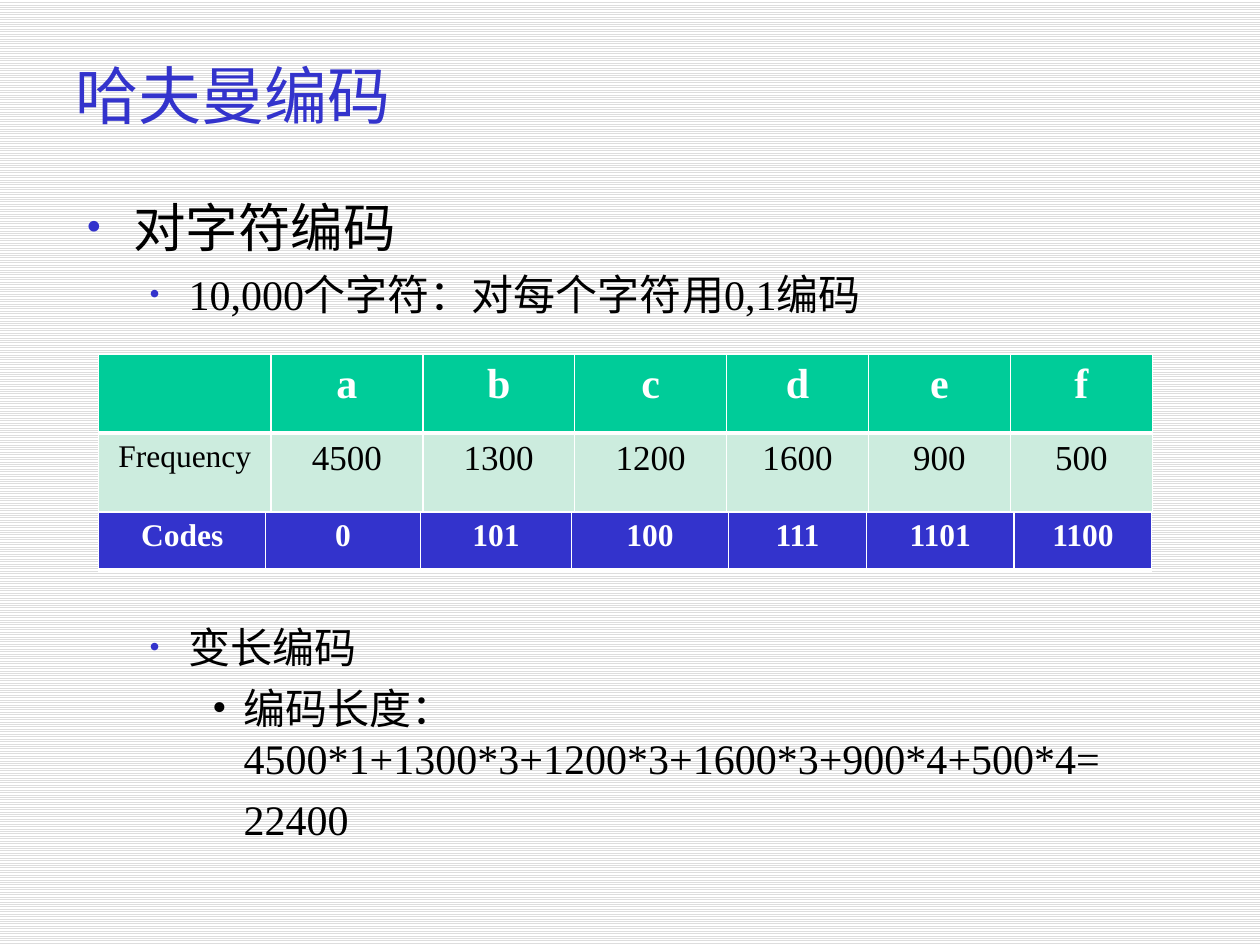
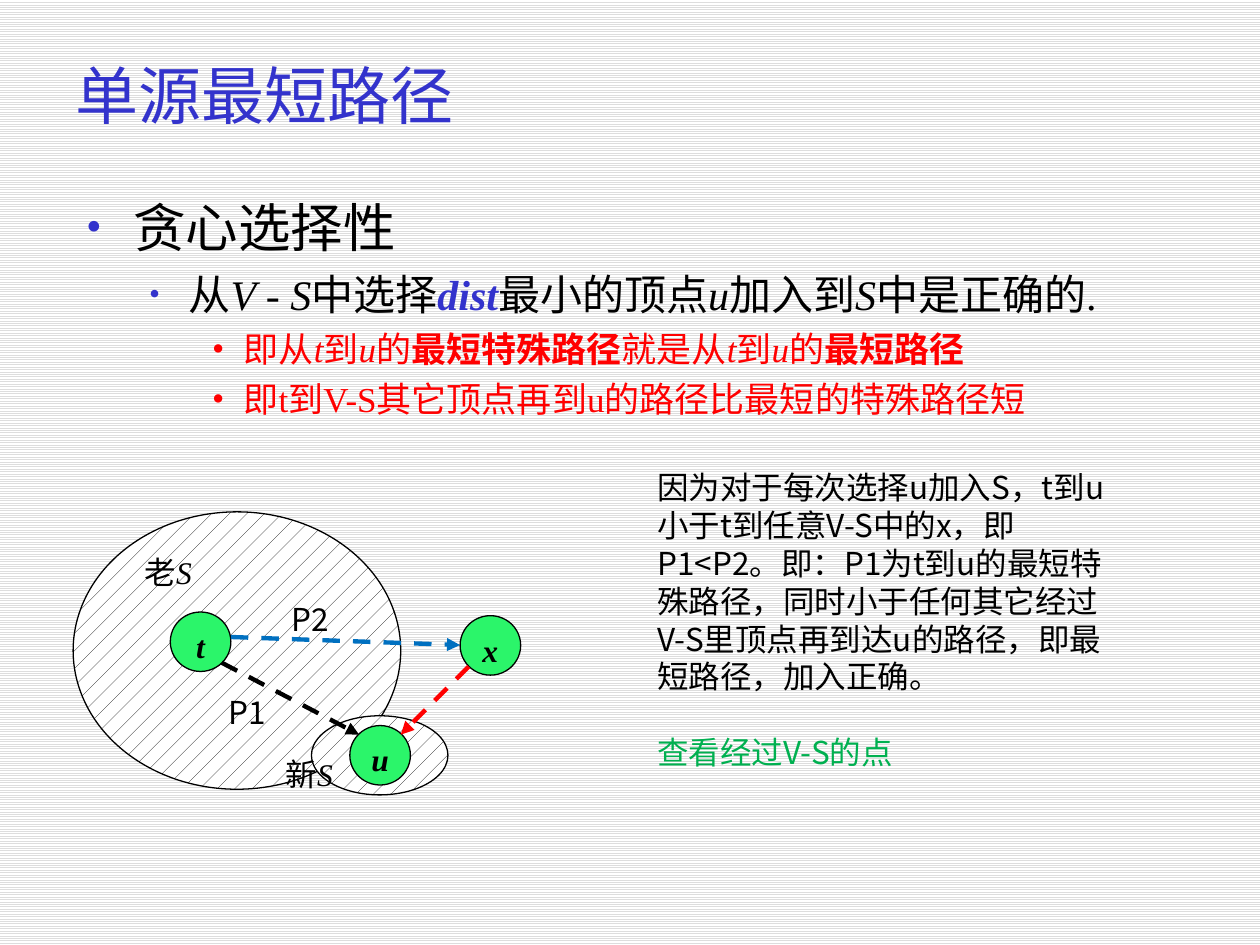
"""Build two algorithm slides: Huffman coding and single-source shortest paths."""
import pptx
import pptx.dml.color
import pptx.enum.dml
import pptx.enum.shapes
import pptx.enum.text
import pptx.oxml.ns
import pptx.util
from lxml import etree

Pt = pptx.util.Pt
SERIF = "Times New Roman"
SANS = "Noto Sans CJK SC"
COLORS = {
    "title": "3333CC", "text": "000000", "white": "FFFFFF", "stripe": "DDDDDD",
    "header": "00CC99", "frequency": "CCECDE", "codes": "3333CC",
    "vertex": "2BF56A", "red": "FF0000", "blue": "0070C0", "green": "00B050",
}
RGB = {name: pptx.dml.color.RGBColor.from_string(value) for name, value in COLORS.items()}
LEFT = pptx.enum.text.PP_ALIGN.LEFT
CENTER = pptx.enum.text.PP_ALIGN.CENTER
TOP = pptx.enum.text.MSO_ANCHOR.TOP
MIDDLE = pptx.enum.text.MSO_ANCHOR.MIDDLE
PATTERN = pptx.enum.dml.MSO_PATTERN
OVAL = pptx.enum.shapes.MSO_SHAPE.OVAL
STRAIGHT = pptx.enum.shapes.MSO_CONNECTOR.STRAIGHT


def add_element(parent, tag, **attributes):
    """Append a DrawingML element with the given attributes."""
    return etree.SubElement(parent, pptx.oxml.ns.qn(tag), attributes)


def write_paragraph(text_frame, runs, size, color="text", name=SERIF, **paragraph_format):
    """Write (text, font overrides) runs as the next paragraph of a frame."""
    paragraph = text_frame.paragraphs[0]
    if paragraph.runs:
        paragraph = text_frame.add_paragraph()
    for attribute, value in paragraph_format.items():
        setattr(paragraph, attribute, value)
    for text, overrides in runs:
        run = paragraph.add_run()
        run.text = text
        font_format = {"size": Pt(size), "name": name, "color": color, **overrides}
        run.font.color.rgb = RGB[font_format.pop("color")]
        for attribute, value in font_format.items():
            setattr(run.font, attribute, value)
        add_element(run.font._element, "a:ea", typeface=SANS)
    return paragraph


presentation = pptx.Presentation()
presentation.slide_width, presentation.slide_height = Pt(720), Pt(540)
background = presentation.slide_master.background.fill
background.patterned()
background.pattern = PATTERN.LIGHT_HORIZONTAL
background.fore_color.rgb = RGB["stripe"]
background.back_color.rgb = RGB["white"]

LEVELS = [
    {"left": 27, "hanging": 27, "bullet_color": "title", "bullet_size": 85},
    {"left": 58.5, "hanging": 22.5, "bullet_color": "title", "bullet_size": 75},
    {"left": 90, "hanging": 18, "bullet_color": None, "bullet_size": 100},
]
ITALIC = {"italic": True}
BOLD = {"bold": True}

# Each item: level, size, colour, space before, bulleted, runs
HUFFMAN = [
    (0, 30, "text", 7, True, [("对字符编码", {})]),
    (1, 24, "text", 5.8, True, [("10,000个字符：对每个字符用0,1编码", {})]),
    (1, 24, "text", 173, True, [("变长编码", {})]),
    (2, 24, "text", 5.8, True, [("编码长度： 4500*1+1300*3+1200*3+1600*3+900*4+500*4=", {})]),
    (2, 24, "text", 5.8, False, [("22400", {})]),
]
SHORTEST_PATH = [
    (0, 30, "text", 7, True, [("贪心选择性", {})]),
    (1, 24, "text", 5.8, True, [
        ("从", {}), ("V ", ITALIC), ("- ", {}), ("S", ITALIC), ("中选择", {}),
        ("dist", {"bold": True, "italic": True, "color": "title"}),
        ("最小的顶点", {}), ("u", ITALIC), ("加入到", {}), ("S", ITALIC), ("中是正确的.", {})]),
    (2, 20, "red", 4.8, True, [
        ("即从", {}), ("t", ITALIC), ("到", {}), ("u", ITALIC), ("的", {}),
        ("最短特殊路径", BOLD), ("就是从", {}), ("t", ITALIC), ("到", {}),
        ("u", ITALIC), ("的", {}), ("最短路径", BOLD)]),
    (2, 20, "red", 4.8, True, [("即t到V-S其它顶点再到u的路径比最短的特殊路径短", {})]),
]

slides = []
for title, items, body_width, body_height in [
    ("哈夫曼编码", HUFFMAN, 612, 384),
    ("单源最短路径", SHORTEST_PATH, 658, 162),
]:
    slide = presentation.slides.add_slide(presentation.slide_layouts[1])
    slides.append(slide)
    body = slide.placeholders[1]
    for shape, box, anchor in [
        (slide.shapes.title, (36, 18, 612, 72), MIDDLE),
        (body, (42, 108, body_width, body_height), TOP),
    ]:
        shape.left, shape.top, shape.width, shape.height = map(Pt, box)
        shape.text_frame.vertical_anchor = anchor
        shape.text_frame.auto_size = pptx.enum.text.MSO_AUTO_SIZE.NONE
    write_paragraph(slide.shapes.title.text_frame, [(title, {})], 36, "title", alignment=LEFT)

    for level, size, color, space, bulleted, runs in items:
        paragraph = write_paragraph(body.text_frame, runs, size, color,
                                    level=level, space_before=Pt(space))
        layout = LEVELS[level]
        properties = paragraph._p.get_or_add_pPr()
        properties.set("marL", str(Pt(layout["left"])))
        properties.set("indent", str(-Pt(layout["hanging"]) if bulleted else 0))
        if not bulleted:
            add_element(properties, "a:buNone")
            continue
        if layout["bullet_color"]:
            bullet_color = add_element(properties, "a:buClr")
            add_element(bullet_color, "a:srgbClr", val=COLORS[layout["bullet_color"]])
        add_element(properties, "a:buSzPct", val=str(layout["bullet_size"] * 1000))
        add_element(properties, "a:buFont", typeface=SERIF)
        add_element(properties, "a:buChar", char="•")

huffman_slide, path_slide = slides

# Each row: fill, text colour, bold, label size, value size, bottom border, texts
HEADER_ROW = ("header", "white", True, 24, 24, 3, ["", *"abcdef"])
FREQUENCY_ROW = ("frequency", "text", False, 18, 20, 1,
                 ["Frequency", "4500", "1300", "1200", "1600", "900", "500"])
CODES_ROW = ("codes", "white", True, 18, 18, 3,
             ["Codes", "0", "101", "100", "111", "1101", "1100"])
for top, row_height, column_widths, rows in [
    (202.5, 45, [98.4] + [86.8] * 3 + [81.1] * 3, [HEADER_ROW, FREQUENCY_ROW]),
    (292.5, 33.5, [95.4, 88.4, 86.4, 89.8, 78.8, 84.4, 78.6], [CODES_ROW]),
]:
    table = huffman_slide.shapes.add_table(
        len(rows), len(column_widths), Pt(56.4), Pt(top),
        Pt(sum(column_widths)), Pt(row_height * len(rows))).table
    table.first_row = table.horz_banding = False
    for column, width in zip(table.columns, column_widths):
        column.width = Pt(width)
    for row_index, (fill, color, bold, label_size, value_size, bottom, texts) in enumerate(rows):
        table.rows[row_index].height = Pt(row_height)
        for column_index, text in enumerate(texts):
            cell = table.cell(row_index, column_index)
            if text:
                write_paragraph(cell.text_frame, [(text, {"bold": bold})],
                                value_size if column_index else label_size,
                                color, alignment=CENTER)
            cell_properties = cell._tc.get_or_add_tcPr()
            for side, width in [("L", 1), ("R", 1), ("T", 1), ("B", bottom)]:
                border = add_element(cell_properties, f"a:ln{side}", w=str(Pt(width)))
                border_fill = add_element(border, "a:solidFill")
                add_element(border_fill, "a:srgbClr", val=COLORS["white"])
            cell.fill.solid()
            cell.fill.fore_color.rgb = RGB[fill]

# Each entry: label, left, top, width, height; sets are hatched, vertices are labelled
OLD_SET = ("", 41.8, 292.5, 187.2, 158.5)
NEW_SET = ("", 178, 409, 78, 45.2)
VERTICES = [("t", 97.3, 349.7, 34.6, 34), ("u", 199.9, 414.6, 34.6, 34),
            ("x", 262.9, 351.8, 34.6, 34)]
for label, *box in [OLD_SET, NEW_SET, *VERTICES]:
    oval = path_slide.shapes.add_shape(OVAL, *map(Pt, box))
    oval.shadow.inherit = False
    oval.line.color.rgb = RGB["text"]
    if label:
        oval.fill.solid()
        oval.fill.fore_color.rgb = RGB["vertex"]
        oval.line.width = Pt(0.75)
        oval.text_frame.word_wrap = False
        oval.text_frame.vertical_anchor = TOP
        write_paragraph(oval.text_frame, [(label, {"bold": True, "italic": True})],
                        18, alignment=CENTER)
    else:
        oval.fill.patterned()
        oval.fill.pattern = PATTERN.PERCENT_5
        oval.fill.fore_color.rgb = RGB["text"]
        oval.fill.back_color.rgb = RGB["white"]
        oval.line.width = Pt(0)

for color, *ends in [
    ("text", 126.7, 378.7, 205.2, 419.8),
    ("blue", 131.9, 364, 262.9, 368.6),
    ("red", 267.8, 380.9, 229, 419.8),
]:
    arrow = path_slide.shapes.add_connector(STRAIGHT, *map(Pt, ends))
    arrow.line.color.rgb = RGB[color]
    arrow.line.width = Pt(2.5)
    arrow.line.dash_style = pptx.enum.dml.MSO_LINE.DASH
    add_element(arrow.line._get_or_add_ln(), "a:tailEnd", type="triangle")
    add_element(arrow._element.spPr, "a:effectLst")

EXPLANATION = ("因为对于每次选择u加入S，t到u小于t到任意V-S中的x，即P1<P2。即：P1为t到u的"
               "最短特殊路径，同时小于任何其它经过V-S里顶点再到达u的路径，即最短路径，加入正确。")
for box, name, paragraphs in [
    ((75.6, 312.5, 43.2, 28.8), SERIF, [("text", 0, [("老", {}), ("S", ITALIC)])]),
    ((156.2, 427.7, 41.8, 28.8), SERIF, [("text", 0, [("新", {}), ("S", ITALIC)])]),
    ((123.8, 392.4, 38.2, 28.8), SANS, [("text", 0, [("P1", {})])]),
    ((159.8, 339.1, 38.2, 28.8), SANS, [("text", 0, [("P2", {})])]),
    ((368.6, 264.2, 280.8, 203.8), SANS, [("text", 0, [(EXPLANATION, {})]),
                                          ("green", 21.3, [("查看经过V-S的点", {})])]),
]:
    text_frame = path_slide.shapes.add_textbox(*map(Pt, box)).text_frame
    text_frame.word_wrap = True
    for color, space, runs in paragraphs:
        write_paragraph(text_frame, runs, 18, color, name, space_before=Pt(space))

presentation.save("out.pptx")
